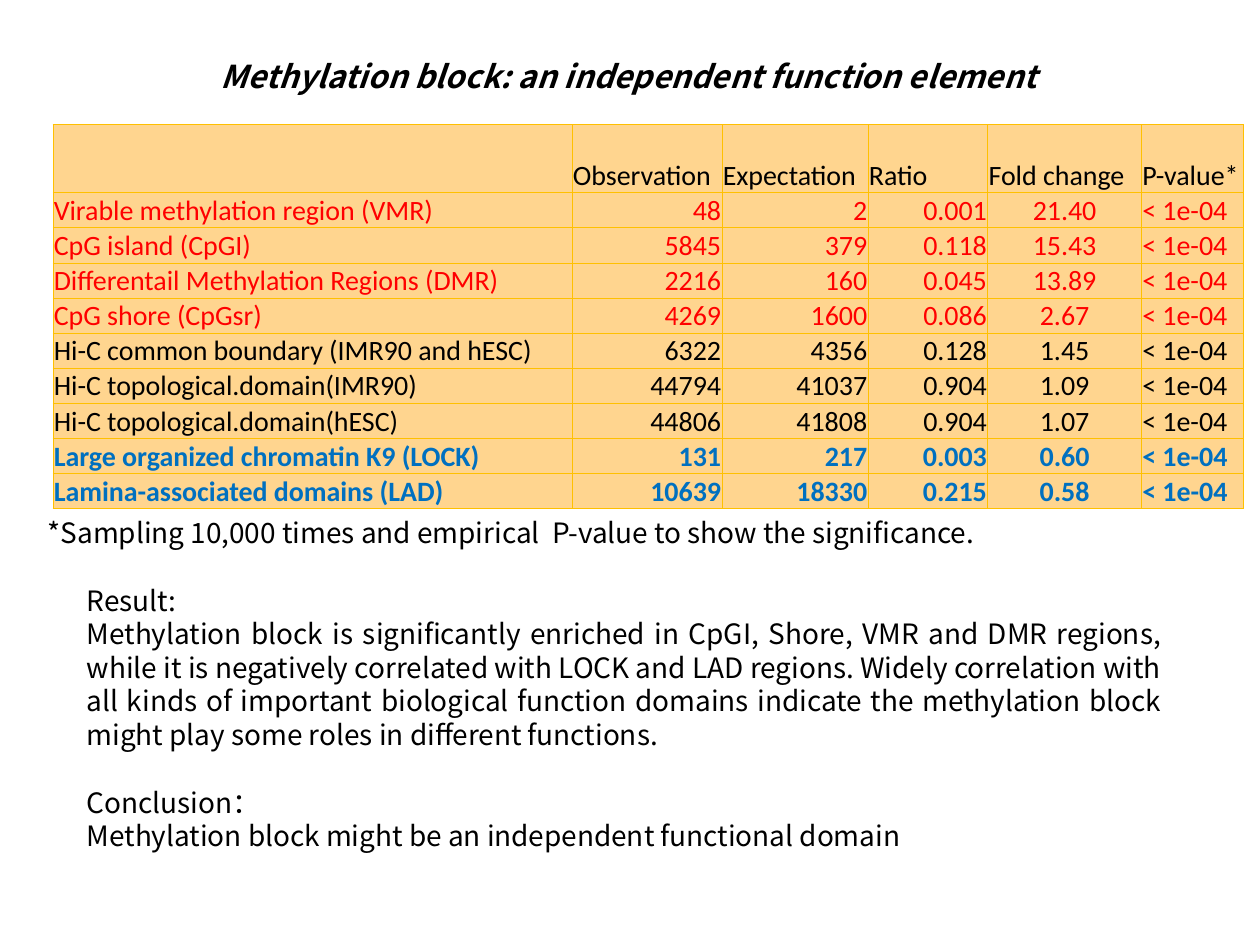
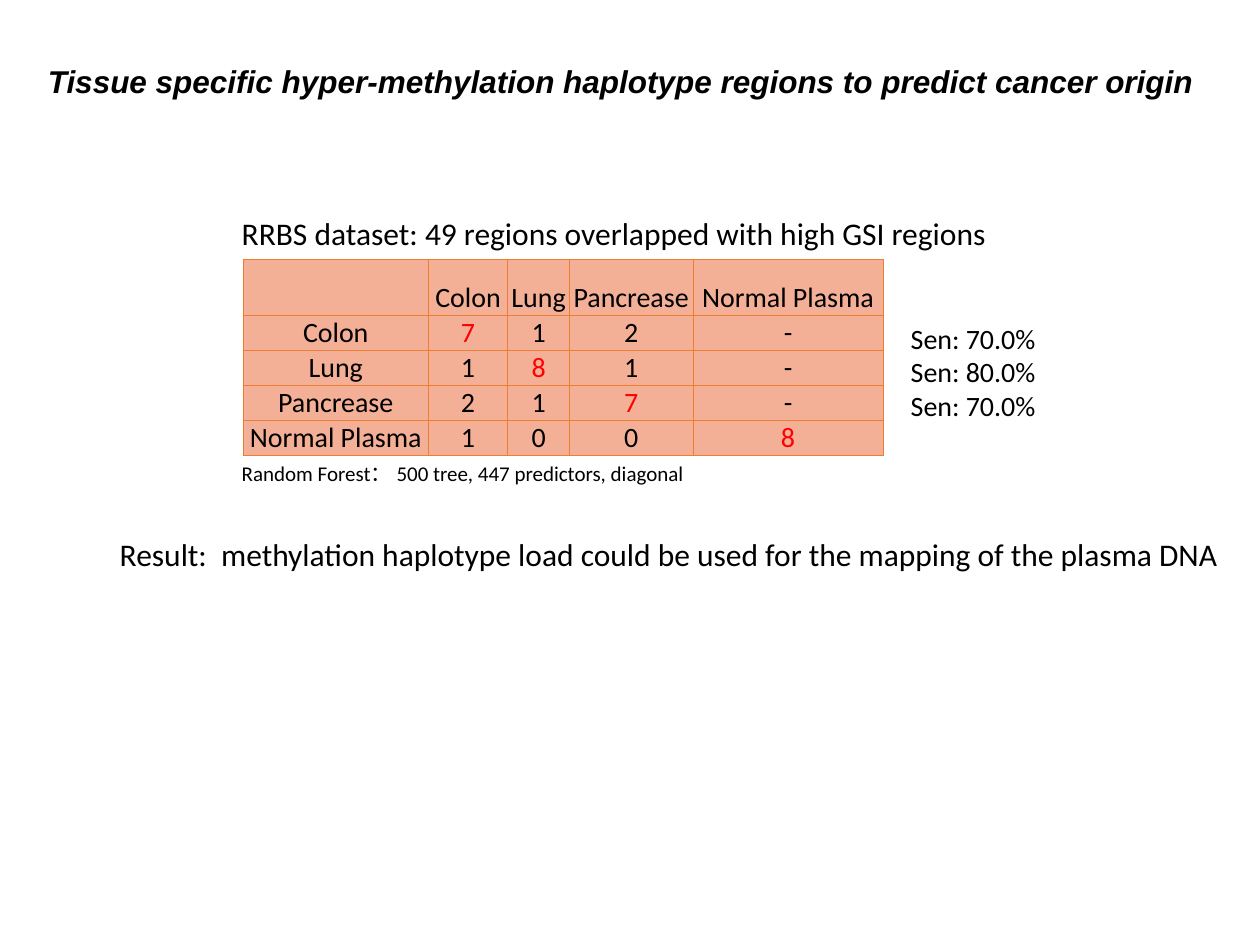
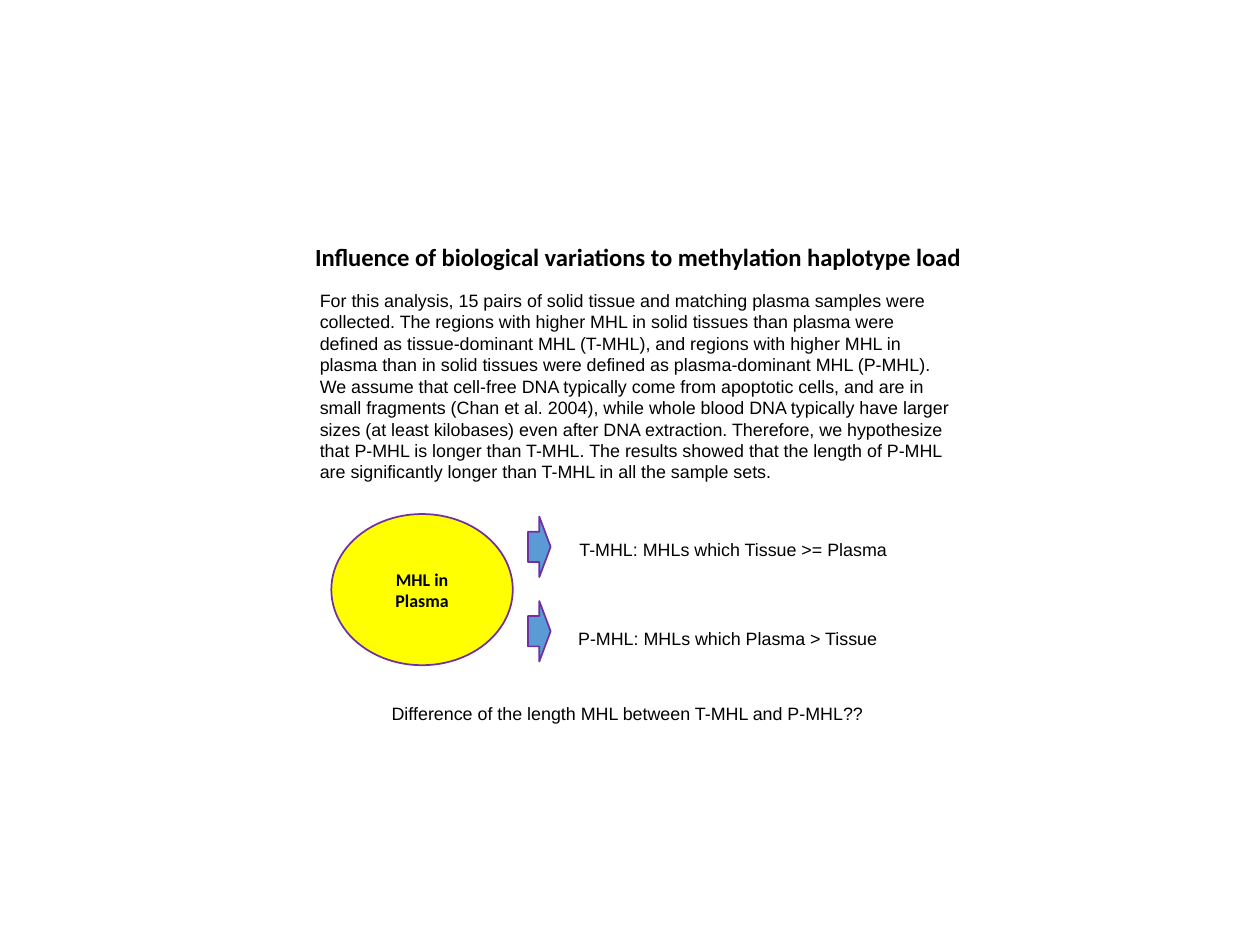
from lxml import etree
from pptx import Presentation
from pptx.dml.color import RGBColor
from pptx.enum.shapes import MSO_SHAPE
from pptx.enum.text import MSO_ANCHOR, MSO_AUTO_SIZE, PP_ALIGN
from pptx.oxml.ns import qn
from pptx.util import Inches, Pt

LEFT, CENTER, RIGHT, JUSTIFY = PP_ALIGN.LEFT, PP_ALIGN.CENTER, PP_ALIGN.RIGHT, PP_ALIGN.JUSTIFY
TOP, MIDDLE, BOTTOM = MSO_ANCHOR.TOP, MSO_ANCHOR.MIDDLE, MSO_ANCHOR.BOTTOM
FIXED = MSO_AUTO_SIZE.NONE
ELLIPSE, ARROW = MSO_SHAPE.OVAL, MSO_SHAPE.RIGHT_ARROW
TITLE_ONLY = 5

BLACK, RED, BLUE = "000000", "FF0000", "0070C0"
GOLD, GOLD_TINT = "FFC000", "FFD58F"
ORANGE, ORANGE_TINT = "ED7D31", "F4B096"
YELLOW, PURPLE, ARROW_BLUE = "FFFF00", "7030A0", "5B9BD5"

SANS = "Noto Sans CJK SC"
TITLE = {"size": Pt(18), "bold": True, "italic": True}
NOTE = {"name": SANS, "size": Pt(16)}
CELL = {"name": "Calibri", "size": Pt(16)}
LARGE = {"name": "Calibri", "size": Pt(18)}
SMALL = {"name": "Arial", "size": Pt(10.2)}
ROW_HEIGHT = 0.27
CELL_MARGIN = Pt(0.5)

ENRICHMENT = [
    ["", "Observation", "Expectation", "Ratio", "Fold change", "P-value*"],
    ["Virable methylation region (VMR)", "48", "2", "0.001", "21.40", "< 1e-04"],
    ["CpG island (CpGI)", "5845", "379", "0.118", "15.43", "< 1e-04"],
    ["Differentail Methylation Regions (DMR)", "2216", "160", "0.045", "13.89", "< 1e-04"],
    ["CpG shore (CpGsr)", "4269", "1600", "0.086", "2.67", "< 1e-04"],
    ["Hi-C common boundary (IMR90 and hESC)", "6322", "4356", "0.128", "1.45", "< 1e-04"],
    ["Hi-C topological.domain(IMR90)", "44794", "41037", "0.904", "1.09", "< 1e-04"],
    ["Hi-C topological.domain(hESC)", "44806", "41808", "0.904", "1.07", "< 1e-04"],
    ["Large organized chromatin K9 (LOCK)", "131", "217", "0.003", "0.60", "< 1e-04"],
    ["Lamina-associated domains (LAD)", "10639", "18330", "0.215", "0.58", "< 1e-04"],
]
TISSUES = ["Colon", "Lung", "Pancrease", "Normal Plasma"]
PREDICTIONS = ["712-", "181-", "217-", "1008"]


def rgb(value):
    return RGBColor.from_string(value)


def write(frame, lines, style, align=LEFT, color=BLACK, spacing=None):
    """Fill a text frame with one formatted paragraph per line."""
    for index, line in enumerate(lines):
        para = frame.paragraphs[0] if index == 0 else frame.add_paragraph()
        para.alignment = align
        if spacing:
            para.line_spacing = spacing
        span = para.add_run()
        span.text = line
        for name, value in style.items():
            setattr(span.font, name, value)
        span.font.color.rgb = rgb(color)


def add_text(page, box, lines, style, wrap=True, **layout):
    frame = page.shapes.add_textbox(*map(Inches, box)).text_frame
    frame.word_wrap = wrap
    write(frame, lines, style, **layout)
    return frame


def add_page(deck, title, box, style, wrap=True, spacing=None):
    page = deck.slides.add_slide(deck.slide_layouts[TITLE_ONLY])
    heading = page.shapes.title
    heading.left, heading.top, heading.width, heading.height = map(Inches, box)
    frame = heading.text_frame
    frame.auto_size = FIXED
    frame.word_wrap = wrap
    frame.vertical_anchor = TOP
    write(frame, [title], style, spacing=spacing)
    return page


def set_borders(cell, color):
    props = cell._tc.get_or_add_tcPr()
    for index, side in enumerate(("lnL", "lnR", "lnT", "lnB")):
        line = etree.Element(qn("a:" + side), w=str(Pt(0.5)))
        fill = etree.SubElement(line, qn("a:solidFill"))
        etree.SubElement(fill, qn("a:srgbClr"), val=color)
        props.insert(index, line)


def add_grid(page, left, top, widths, header_height, rows, fill, border, cell_format):
    """Add a table; cell_format gives alignment, colour and bold for a row and column."""
    heights = [header_height] + [ROW_HEIGHT] * (len(rows) - 1)
    box = map(Inches, (left, top, sum(widths), sum(heights)))
    table = page.shapes.add_table(len(rows), len(widths), *box).table
    table.first_row = table.horz_banding = False
    for column, width in zip(table.columns, widths):
        column.width = Inches(width)
    for row, height in zip(table.rows, heights):
        row.height = Inches(height)
    for row, values in enumerate(rows):
        for column, value in enumerate(values):
            cell = table.cell(row, column)
            cell.margin_left = cell.margin_right = cell.margin_top = CELL_MARGIN
            cell.margin_bottom = 0
            cell.vertical_anchor = BOTTOM
            cell.fill.solid()
            cell.fill.fore_color.rgb = rgb(fill)
            set_borders(cell, border)
            if value:
                align, color, bold = cell_format(row, column)
                write(cell.text_frame, [value], {**CELL, "bold": bold}, align, color)


def enrichment_format(row, column):
    aligns = [LEFT, RIGHT, RIGHT, RIGHT, CENTER, LEFT]
    align = aligns[column] if row else LEFT
    if 1 <= row <= 4:
        return align, RED, False
    return (align, BLUE, True) if row >= 8 else (align, BLACK, False)


def prediction_format(row, column):
    return CENTER, RED if row == column else BLACK, False


def add_shape(page, kind, box, fill):
    shape = page.shapes.add_shape(kind, *map(Inches, box))
    shape.shadow.inherit = False
    shape.fill.solid()
    shape.fill.fore_color.rgb = rgb(fill)
    shape.line.color.rgb = rgb(PURPLE)
    shape.line.width = Pt(1)
    return shape


def add_plasma_split(page, left, top):
    """Draw the plasma ellipse and its arrows to the two labelled classes."""
    plasma = add_shape(page, ELLIPSE, (left, top, 1.44, 1.2), YELLOW)
    plasma.text_frame.word_wrap = True
    plasma.text_frame.vertical_anchor = MIDDLE
    write(plasma.text_frame, ["MHL in Plasma"],
          {**SMALL, "name": "Calibri", "bold": True}, CENTER)
    classes = [("T-MHL: MHLs which Tissue >= Plasma", 1.87, 0.15),
               ("P-MHL: MHLs which Plasma > Tissue", 1.86, 0.85)]
    for index, (label, across, down) in enumerate(classes):
        add_shape(page, ARROW, (left + 1.56, top + 0.02 + 0.67 * index, 0.18, 0.48), ARROW_BLUE)
        add_text(page, (left + across, top + down, 2.68, 0.27), [label], SMALL, wrap=False)


def build_enrichment(deck):
    page = add_page(deck, "Methylation block: an independent function element",
                    (1.65, 0.1, 7.25, 0.62), {**TITLE, "name": SANS}, spacing=2.0)
    add_grid(page, 0.42, 0.99, [4.12, 1.19, 1.16, 0.95, 1.22, 0.81], 0.54,
             ENRICHMENT, GOLD_TINT, GOLD, enrichment_format)
    add_text(page, (0.28, 4.04, 7.95, 0.37),
             ["*Sampling 10,000 times and empirical  P-value to show the significance."],
             NOTE, wrap=False)
    findings = add_text(page, (0.59, 4.58, 8.73, 2.26), [
        "Result:",
        "Methylation block is significantly enriched in CpGI, Shore, VMR and DMR regions, "
        "while it is negatively correlated with LOCK and LAD regions. Widely correlation "
        "with all kinds of important biological function domains indicate the methylation "
        "block might play some roles in different functions.",
        "Conclusion：",
        "Methylation block might be an independent functional domain",
    ], NOTE)
    findings.paragraphs[1].alignment = JUSTIFY
    findings.paragraphs[2].space_before = Pt(19.5)


def build_prediction(deck):
    page = add_page(
        deck, "Tissue specific hyper-methylation haplotype regions to predict cancer origin",
        (0.28, 0.14, 9.72, 0.71), {**TITLE, "name": "Arial"}, spacing=2.0)
    rows = [["", *TISSUES]] + [[name, *counts] for name, counts in zip(TISSUES, PREDICTIONS)]
    add_grid(page, 1.93, 2.06, [1.47, 0.63, 0.49, 0.98, 1.51], 0.44,
             rows, ORANGE_TINT, ORANGE, prediction_format)
    add_text(page, (1.82, 1.65, 6.24, 0.4),
             ["RRBS dataset: 49 regions overlapped with high GSI regions"], LARGE, wrap=False)
    add_text(page, (1.82, 3.61, 3.75, 0.3),
             ["Random Forest： 500 tree, 447 predictors, diagonal"], {**CELL, "size": Pt(12)})
    add_text(page, (7.13, 2.5, 1.26, 0.91),
             [f"Sen: {rate}%" for rate in ("70.0", "80.0", "70.0")], CELL, wrap=False)
    add_text(page, (0.45, 3.9, 9.72, 0.62),
             ["Result:  methylation haplotype load could be used for the mapping of the plasma DNA"],
             LARGE, align=CENTER, spacing=2.0)


def build_variation(deck):
    page = add_page(deck, "Influence of biological variations to methylation haplotype load",
                    (2.4, 1.87, 5.39, 0.34),
                    {"name": "Calibri", "size": Pt(14.1), "bold": True}, wrap=False)
    add_text(page, (2.44, 2.25, 5.23, 1.64), [
        "For this analysis, 15 pairs of solid tissue and matching plasma samples were "
        "collected. The regions with higher MHL in solid tissues than plasma were defined as "
        "tissue-dominant MHL (T-MHL), and regions with higher MHL in plasma than in solid "
        "tissues were defined as plasma-dominant MHL (P-MHL). We assume that cell-free DNA "
        "typically come from apoptotic cells, and are in small fragments (Chan et al. 2004), "
        "while whole blood DNA typically have larger sizes (at least kilobases) even after "
        "DNA extraction. Therefore, we hypothesize that P-MHL is longer than T-MHL. The "
        "results showed that the length of P-MHL are significantly longer than T-MHL in all "
        "the sample sets."], SMALL)
    add_plasma_split(page, 2.63, 4.08)
    add_text(page, (3.01, 5.53, 4.95, 0.27),
             ["Difference of the length MHL between T-MHL and P-MHL??"], SMALL)


def main():
    deck = Presentation()
    deck.slide_width, deck.slide_height = Inches(10), Inches(7.5)
    build_enrichment(deck)
    build_prediction(deck)
    build_variation(deck)
    deck.save("out.pptx")


if __name__ == "__main__":
    main()
